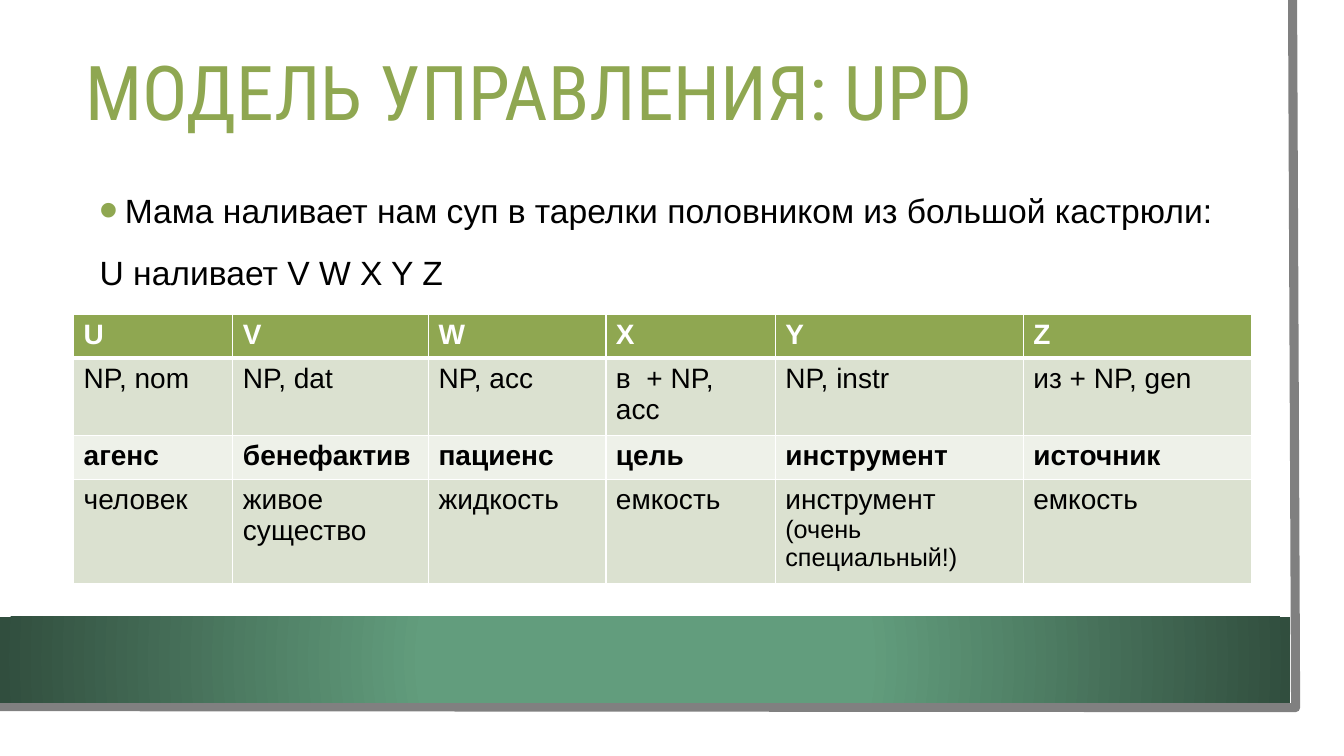
"""Build a slide with a government pattern table for a Russian verb."""
from lxml import etree
from pptx import Presentation
from pptx.dml.color import RGBColor
from pptx.enum import shapes as sh, text as tx
from pptx.oxml import parse_xml
from pptx.oxml.ns import nsdecls, qn
from pptx.util import Inches, Pt

WHITE = RGBColor(0xFF, 0xFF, 0xFF)
BLACK = RGBColor(0, 0, 0)
GRAY = RGBColor(0x80, 0x80, 0x80)
OLIVE = RGBColor(0x8F, 0xA7, 0x51)
SAGE = RGBColor(0xDB, 0xE1, 0xD0)
PALE = RGBColor(0xEE, 0xF1, 0xE9)
GREEN = RGBColor(0x62, 0x9D, 0x7D)
DARK = RGBColor(0x31, 0x4E, 0x3E)

COLS = [1.58, 1.94, 1.76, 1.68, 2.46, 2.26]
ROWS = [0.41, 0.41, 0.41, 0.97]
FILLS = [OLIVE, SAGE, PALE, SAGE]
CELLS = [
    ["U", "V", "W", "X", "Y", "Z"],
    ["NP, nom", "NP, dat", "NP, acc", "в  + NP, acc", "NP, instr", "из + NP, gen"],
    ["агенс", "бенефактив", "пациенс", "цель", "инструмент", "источник"],
    ["человек", "живое существо", "жидкость", "емкость", "инструмент ", "емкость"],
]


def write(par, words, size=20, color=BLACK, bold=False, font="Arial"):
    """Add a formatted run to a paragraph."""
    run = par.add_run()
    run.text = words
    face = run.font
    face.size, face.bold, face.name = Pt(size), bold, font
    face.color.rgb = color


def box(slide, left, top, width, height):
    """Add a wrapped, vertically centred text box and return its frame."""
    frame = slide.shapes.add_textbox(
        Inches(left), Inches(top), Inches(width), Inches(height)).text_frame
    frame.word_wrap = True
    frame.vertical_anchor = tx.MSO_ANCHOR.MIDDLE
    return frame


def bullet(par):
    """Give a paragraph a hanging olive bullet."""
    props = par._p.get_or_add_pPr()
    props.set("marL", str(Inches(0.25)))
    props.set("indent", str(-Inches(0.25)))
    tint = etree.SubElement(props, qn("a:buClr"))
    etree.SubElement(tint, qn("a:srgbClr"), val=str(OLIVE))
    etree.SubElement(props, qn("a:buSzPct"), val="160000")
    etree.SubElement(props, qn("a:buFont"), typeface="Arial")
    etree.SubElement(props, qn("a:buChar"), char="•")


def edge(slide):
    """Draw the gray page edge along the right and the bottom."""
    pen = slide.shapes.build_freeform(Inches(12.82), 0)
    pen.add_line_segments([(Inches(12.85), Inches(7.02)),
                           (Inches(-0.03), Inches(7.01))], close=False)
    line = pen.convert_to_shape()
    line.shadow.inherit = False
    line.fill.background()
    line.line.color.rgb = GRAY
    line.line.width = Pt(6.5)


def band(slide):
    """Draw the green band with a radial gradient."""
    bar = slide.shapes.add_shape(sh.MSO_SHAPE.RECTANGLE, 0, Inches(6.12),
                                 Inches(12.8), Inches(0.85))
    bar.shadow.inherit = False
    bar.line.fill.background()
    grad = parse_xml(
        f'<a:gradFill {nsdecls("a")} rotWithShape="1"><a:gsLst>'
        f'<a:gs pos="34000"><a:srgbClr val="{GREEN}"/></a:gs>'
        f'<a:gs pos="100000"><a:srgbClr val="{DARK}"/></a:gs></a:gsLst>'
        '<a:path path="circle"><a:fillToRect l="50000" t="50000" '
        'r="50000" b="50000"/></a:path></a:gradFill>')
    bar._element.spPr.find(qn("a:prstGeom")).addnext(grad)


def border(cell, row):
    """Draw white cell borders, thicker under the header."""
    props = cell._tc.get_or_add_tcPr()
    for spot, side in enumerate("LRTB"):
        thick = (row, side) in ((0, "B"), (1, "T"))
        props.insert(spot, parse_xml(
            f'<a:ln{side} {nsdecls("a")} w="{Pt(3 if thick else 1)}"><a:solidFill>'
            f'<a:srgbClr val="{WHITE}"/></a:solidFill></a:ln{side}>'))


def grid(slide):
    """Add the table of roles and return it."""
    table = slide.shapes.add_table(
        len(ROWS), len(COLS), Inches(0.73), Inches(3.12),
        Inches(sum(COLS)), Inches(sum(ROWS))).table
    for col, width in zip(table.columns, COLS):
        col.width = Inches(width)
    for r, (height, fill, line) in enumerate(zip(ROWS, FILLS, CELLS)):
        table.rows[r].height = Inches(height)
        for c, words in enumerate(line):
            cell = table.cell(r, c)
            cell.fill.solid()
            cell.fill.fore_color.rgb = fill
            border(cell, r)
            write(cell.text_frame.paragraphs[0], words,
                  color=BLACK if r else WHITE, bold=r in (0, 2))
    return table


def main():
    """Build and save the slide."""
    deck = Presentation()
    deck.slide_width, deck.slide_height = Inches(13.33), Inches(7.5)
    slide = deck.slides.add_slide(deck.slide_layouts[6])
    edge(slide)
    band(slide)

    title = box(slide, 0.75, 0.32, 11.37, 1.26).paragraphs[0]
    title.line_spacing = 0.9
    write(title, "МОДЕЛЬ УПРАВЛЕНИЯ: UPD", size=54, color=OLIVE,
          font="Roboto Condensed")

    body = box(slide, 0.89, 1.77, 11.37, 1.16)
    first, second = body.paragraphs[0], body.add_paragraph()
    for par, words in (
            (first, "Мама наливает нам суп в тарелки половником из большой кастрюли:"),
            (second, "U наливает V W X Y Z")):
        par.line_spacing = 1.2
        par.space_before = Pt(10)
        write(par, words, size=24)
    bullet(first)

    table = grid(slide)
    write(table.cell(3, 4).text_frame.paragraphs[0], "(очень специальный!)", size=18)
    deck.save("out.pptx")


if __name__ == "__main__":
    main()
